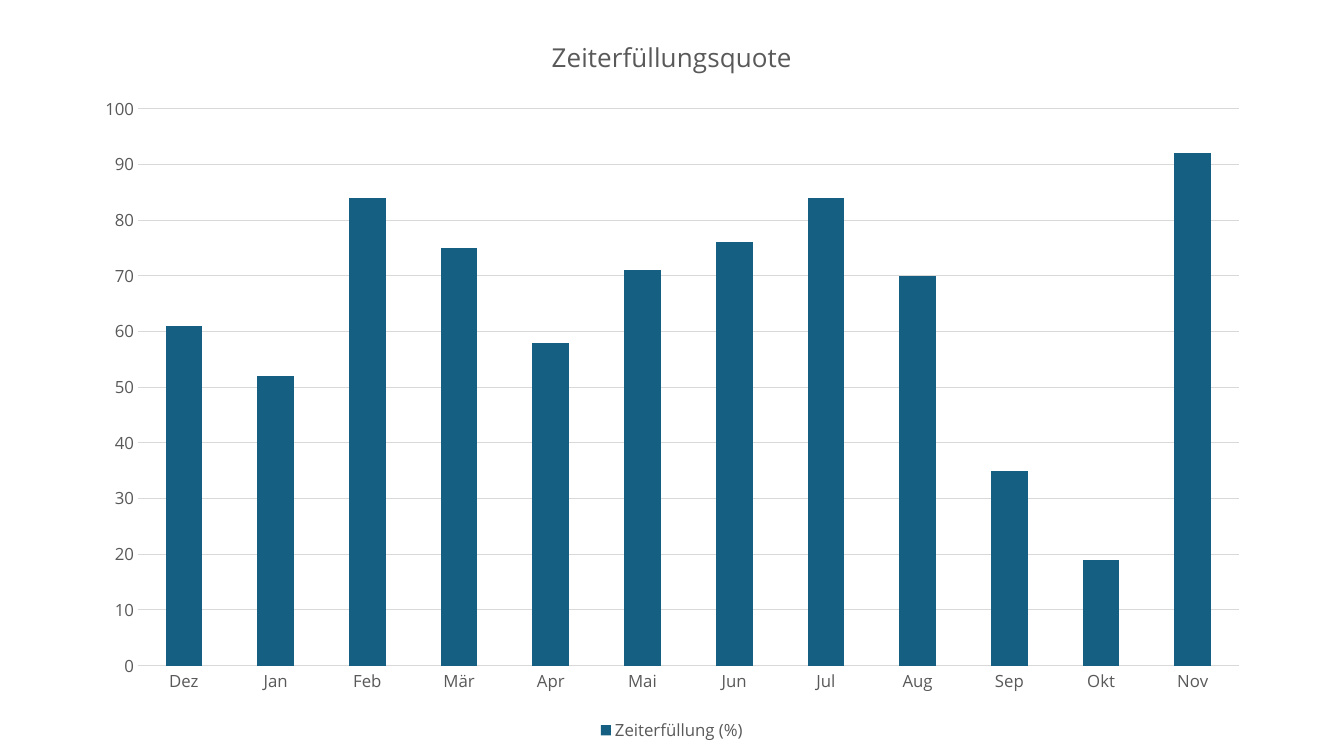
from pptx import Presentation
from pptx import util as u
from pptx.chart.data import CategoryChartData
from pptx.dml.color import RGBColor
from pptx.enum import chart as ch

FONT = "Open Sans"
COLORS = {"bar": "156082", "text": "595959", "grid": "D9D9D9"}
QUOTA = {
    "Dez": 61, "Jan": 52, "Feb": 84, "Mär": 75, "Apr": 58, "Mai": 71,
    "Jun": 76, "Jul": 84, "Aug": 70, "Sep": 35, "Okt": 19, "Nov": 92,
}


def color(name):
    return RGBColor.from_string(COLORS[name])


def style(font, size=12, tone="text", bold=False):
    font.name = FONT
    font.size = u.Pt(size)
    font.bold = bold
    font.color.rgb = color(tone)


def rule(line):
    line.color.rgb = color("grid")
    line.width = u.Pt(0.75)


def add_title(chart, words, **form):
    chart.has_title = True
    title = chart.chart_title
    title.include_in_layout = False
    frame = title.text_frame
    frame.text = words
    style(frame.paragraphs[0].runs[0].font, **form)


def add_legend(chart):
    chart.has_legend = True
    legend = chart.legend
    legend.position = ch.XL_LEGEND_POSITION.BOTTOM
    legend.include_in_layout = False
    style(legend.font)


def set_axes(chart):
    months, scale = chart.category_axis, chart.value_axis
    for axis in (months, scale):
        axis.major_tick_mark = axis.minor_tick_mark = ch.XL_TICK_MARK.NONE
        style(axis.tick_labels.font)
    rule(months.format.line)
    scale.minimum_scale, scale.maximum_scale = 0, 100
    scale.major_unit = 10
    scale.has_major_gridlines = True
    rule(scale.major_gridlines.format.line)
    scale.format.line.fill.background()


def add_bars(slide, name, values):
    data = CategoryChartData(number_format="General")
    data.categories = list(values)
    data.add_series(name, list(values.values()))
    chart = slide.shapes.add_chart(
        ch.XL_CHART_TYPE.COLUMN_CLUSTERED, u.Inches(0.81), u.Inches(0.11),
        u.Inches(11.71), u.Inches(7.29), data).chart
    chart.font.name = FONT
    plot = chart.plots[0]
    plot.gap_width = 150
    plot.vary_by_categories = False
    fill = plot.series[0].format.fill
    fill.solid()
    fill.fore_color.rgb = color("bar")
    set_axes(chart)
    add_legend(chart)
    return chart


def main():
    deck = Presentation()
    deck.slide_width, deck.slide_height = u.Inches(13.33), u.Inches(7.5)
    slide = deck.slides.add_slide(deck.slide_layouts[6])
    chart = add_bars(slide, "Zeiterfüllung (%)", QUOTA)
    add_title(chart, "Zeiterfüllungsquote", size=18.6)
    deck.save("out.pptx")


if __name__ == "__main__":
    main()
